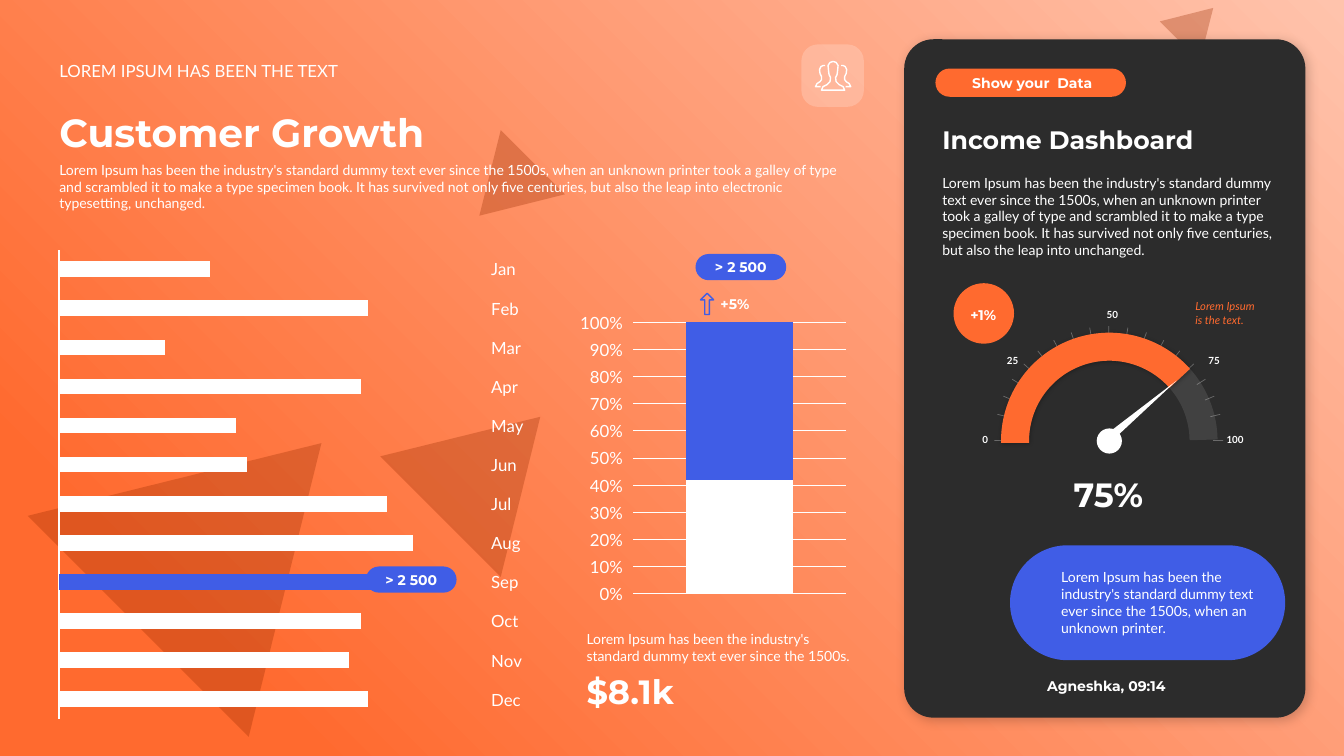
from math import cos, radians, sin

from lxml import etree
from pptx import Presentation
from pptx.chart.data import CategoryChartData
from pptx.dml.color import RGBColor
from pptx.enum.chart import XL_CHART_TYPE, XL_TICK_LABEL_POSITION, XL_TICK_MARK
from pptx.enum.shapes import MSO_CONNECTOR, MSO_SHAPE
from pptx.enum.text import MSO_ANCHOR, MSO_AUTO_SIZE, PP_ALIGN
from pptx.oxml import parse_xml
from pptx.oxml.ns import nsdecls, qn
from pptx.util import Inches, Pt

WHITE = RGBColor(0xFF, 0xFF, 0xFF)
DARK = RGBColor(0x2C, 0x2C, 0x2C)
ORANGE = RGBColor(0xFF, 0x6A, 0x2F)
PEACH = RGBColor(0xFF, 0xC3, 0xAC)
RUST = RGBColor(0x97, 0x2B, 0x00)
BLUE = RGBColor(0x40, 0x5D, 0xE6)
BLACK = RGBColor(0, 0, 0)
BODY, HEAD = "Lato", "Montserrat"
LEFT, MID, RIGHT = PP_ALIGN.LEFT, PP_ALIGN.CENTER, PP_ALIGN.RIGHT
TOP, CENTER, LOW = MSO_ANCHOR.TOP, MSO_ANCHOR.MIDDLE, MSO_ANCHOR.BOTTOM
ROUND, OVAL, ARC = MSO_SHAPE.ROUNDED_RECTANGLE, MSO_SHAPE.OVAL, MSO_SHAPE.ARC
WEDGE, ARROW = MSO_SHAPE.ISOSCELES_TRIANGLE, MSO_SHAPE.UP_ARROW
BARS, STACK = XL_CHART_TYPE.BAR_CLUSTERED, XL_CHART_TYPE.COLUMN_STACKED_100
CELL = Inches(0.1)
COLS, ROWS = 133.33, 75


def span(*cells):
    return [round(cell * CELL) for cell in cells]


def fade(part, alpha):
    for color in part.iter(qn("a:srgbClr")):
        etree.SubElement(color, qn("a:alpha")).set("val", str(alpha * 1000))


class Board:
    def __init__(self, deck):
        self.slide = deck.slides.add_slide(deck.slide_layouts[5])
        self.shapes = self.slide.shapes

    def backdrop(self):
        fill = self.slide.background.fill
        fill.solid()
        solid = self.slide.element.find(".//" + qn("a:solidFill"))
        solid.getparent().replace(solid, parse_xml(
            f'<a:gradFill {nsdecls("a")} rotWithShape="1"><a:gsLst>'
            f'<a:gs pos="0"><a:srgbClr val="{PEACH}"/></a:gs>'
            f'<a:gs pos="85000"><a:srgbClr val="{ORANGE}"/></a:gs></a:gsLst>'
            '<a:path path="circle"><a:fillToRect l="100000" b="100000"/></a:path>'
            '</a:gradFill>'))

    def label(self, shape, text, size, face=BODY, bold=False, color=WHITE,
              align=LEFT, anchor=TOP, wrap=True, grow=True, pad=None, after=0,
              italic=False):
        frame = shape.text_frame
        frame.text = text
        frame.word_wrap = wrap
        frame.vertical_anchor = anchor
        frame.auto_size = MSO_AUTO_SIZE.SHAPE_TO_FIT_TEXT if grow else MSO_AUTO_SIZE.NONE
        if pad is not None:
            frame.margin_left = frame.margin_right = 0
            frame.margin_top = frame.margin_bottom = Inches(pad)
        para = frame.paragraphs[0]
        para.alignment = align
        para.space_after = Pt(after)
        font = para.font
        font.name, font.size, font.bold, font.italic = face, Pt(size), bold, italic
        font.color.rgb = color

    def title(self, box, text, **style):
        shape = self.shapes.title
        shape.left, shape.top, shape.width, shape.height = span(*box)
        self.label(shape, text, **style)

    def text(self, box, text, size, **style):
        self.label(self.shapes.add_textbox(*span(*box)), text, size, **style)

    def paint(self, shape, fill=None, line=None, width=1, alpha=100):
        shape.shadow.inherit = False
        if fill is None:
            shape.fill.background()
        else:
            shape.fill.solid()
            shape.fill.fore_color.rgb = fill
        if line is None:
            shape.line.fill.background()
        else:
            shape.line.color.rgb = line
            shape.line.width = Pt(width)
        if alpha < 100:
            fade(shape.element.spPr, alpha)

    def form(self, kind, box, adjust=(), turn=0, **look):
        shape = self.shapes.add_shape(kind, *span(*box))
        for index, value in enumerate(adjust):
            shape.adjustments[index] = value
        shape.rotation = turn
        self.paint(shape, **look)
        return shape

    def shade(self, shape, alpha, blur, dist):
        effects = shape.element.spPr.find(qn("a:effectLst"))
        effects.append(parse_xml(
            f'<a:outerShdw {nsdecls("a")} blurRad="{Pt(blur)}" dist="{Pt(dist)}" '
            f'dir="2700000" algn="tl" rotWithShape="0"><a:srgbClr val="{BLACK}">'
            f'<a:alpha val="{alpha * 1000}"/></a:srgbClr></a:outerShdw>'))

    def pill(self, box, text):
        self.label(self.form(ROUND, box, [0.5], fill=BLUE), text, 10, face=HEAD,
                   bold=True, align=MID, anchor=CENTER, grow=False, pad=0)

    def trace(self, points, close):
        cells = [span(*point) for point in points]
        pen = self.shapes.build_freeform(*cells[0])
        pen.add_line_segments(cells[1:], close=close)
        self.paint(pen.convert_to_shape(), line=WHITE)

    def tick(self, start, end):
        line = self.shapes.add_connector(MSO_CONNECTOR.STRAIGHT, *span(*start, *end))
        line.line.color.rgb = WHITE
        line.line.width = Pt(0.5)
        fade(line.element.spPr, 30)
        etree.SubElement(line.element.spPr, qn("a:effectLst"))

    def chart(self, kind, box, names, series, size, gap, overlap, area):
        data = CategoryChartData()
        data.categories = names
        for index, (values, color) in enumerate(series, 1):
            data.add_series(f"Series {index}", values)
        chart = self.shapes.add_chart(kind, *span(*box), data).chart
        chart.has_legend = chart.has_title = False
        chart.font.name, chart.font.size = BODY, Pt(size)
        chart.font.color.rgb = WHITE
        plot = chart.plots[0]
        plot.gap_width, plot.overlap = gap, overlap
        plot.vary_by_categories = False
        for item, (values, color) in zip(plot.series, series):
            item.format.fill.solid()
            item.format.fill.fore_color.rgb = color
        zone = chart.element.find(".//" + qn("c:plotArea"))
        for old in zone.findall(qn("c:layout")):
            zone.remove(old)
        sides = "".join(f'<c:{key} val="{share}"/>' for key, share in zip("xywh", area))
        zone.insert(0, parse_xml(
            f'<c:layout {nsdecls("c")}><c:manualLayout><c:layoutTarget val="inner"/>'
            f'<c:xMode val="edge"/><c:yMode val="edge"/>{sides}'
            '</c:manualLayout></c:layout>'))
        return chart

    def months(self):
        names = "Jan Feb Mar Apr May Jun Jul Aug Sep Oct Nov Dec".split()
        values = [40, 82, 28, 80, 47, 50, 87, 94, 100, 80, 77, 82]
        chart = self.chart(BARS, (4.9, 23.8, 47.6, 48.5), names, [(values, WHITE)],
                           12, 150, -25, (0.02, 0.02, 0.88, 0.96))
        peak = chart.plots[0].series[0].points[8].format.fill
        peak.solid()
        peak.fore_color.rgb = BLUE
        axis = chart.category_axis
        axis.reverse_order = True
        axis.major_tick_mark = XL_TICK_MARK.NONE
        axis.tick_label_position = XL_TICK_LABEL_POSITION.HIGH
        axis.format.line.color.rgb = WHITE
        axis.format.line.width = Pt(0.75)
        scale = chart.value_axis
        scale.minimum_scale, scale.maximum_scale = 0, 112
        scale.has_major_gridlines = scale.visible = False

    def share(self):
        chart = self.chart(STACK, (57, 30.5, 27.5, 29.9), ["1"],
                           [([42], ORANGE), ([58], BLUE)], 10, 100, 100,
                           (0.21, 0.05, 0.77, 0.9))
        base = chart.plots[0].series[0].points[0].format.fill
        base.solid()
        base.fore_color.rgb = WHITE
        chart.category_axis.visible = False
        scale = chart.value_axis
        scale.tick_labels.font.size = Pt(12)
        scale.tick_labels.number_format = "0%"
        scale.tick_labels.number_format_is_linked = False
        scale.format.line.fill.background()
        grid = scale.major_gridlines.format.line
        grid.color.rgb = WHITE
        grid.width = Pt(0.75)

    def people(self):
        self.form(ROUND, (79.5, 4.4, 6.2, 6.2), [0.265], fill=WHITE, alpha=20)
        axis = 82.65
        body = [(0, 6.1), (0.3, 6.2), (0.5, 6.5), (0.45, 7), (0.4, 7.4), (0.25, 7.7),
                (0.3, 8.1), (0.6, 8.4), (1, 8.6), (1.15, 8.95)]
        side = [(0.8, 6.5), (1, 6.5), (1.2, 6.6), (1.35, 6.9), (1.3, 7.3), (1.15, 7.6),
                (1.15, 7.9), (1.3, 8.1), (1.6, 8.3), (1.75, 8.6), (1.25, 8.6)]
        half = [(axis + x, y) for x, y in body]
        self.trace(half + [(axis - x, y) for x, y in reversed(body)], True)
        for sign in (-1, 1):
            self.trace([(axis + sign * x, y) for x, y in side], False)

    def gauge(self):
        ring = (100.7, 34.4, 18.7, 18.7)
        self.form(ARC, ring, [108.1, 215.58], line=WHITE, width=20, alpha=10)
        self.form(OVAL, (108.8, 42.5, 2.5, 2.5), fill=WHITE)
        for angle in [-90, *(9.6 * step for step in range(-8, 9)), 90]:
            turn = radians(angle)
            start, end = [(110 + reach * sin(turn), 43.7 - reach * cos(turn))
                          for reach in (11.35, 10.35)]
            self.tick(start, end)
        for text, box, align, anchor, wrap in [
                ("0", (95.6, 42.2, 3.4, 2.8), RIGHT, CENTER, False),
                ("25", (97.9, 34.4, 4.1, 2.8), RIGHT, CENTER, False),
                ("50", (107.8, 29.5, 4.1, 2.8), RIGHT, LOW, False),
                ("75", (118.9, 34.4, 4.1, 2.8), LEFT, CENTER, False),
                ("100", (120.7, 42.2, 5.9, 2.8), LEFT, CENTER, True)]:
            self.text(box, text, 7, bold=True, align=align, anchor=anchor, wrap=wrap)
        self.shade(self.form(ARC, ring, [107.34, 191.03], line=ORANGE, width=20), 30, 3, 1)
        self.form(WEDGE, (113.2, 36.3, 0.8, 8.2), turn=49.8, fill=WHITE)


def main():
    deck = Presentation()
    deck.slide_width, deck.slide_height = span(COLS, ROWS)
    board = Board(deck)
    lorem = "Lorem Ipsum has been the industry's standard dummy text ever since the 1500s"
    story = (lorem + ", when an unknown printer took a galley of type and scrambled it to make "
             "a type specimen book. It has survived not only five centuries, but also the leap into ")
    strong = {"face": HEAD, "bold": True}
    board.backdrop()
    for box, turn in [((7.3, 40.2, 31, 25.7), 45), ((40.2, 39.3, 16.9, 14), 45),
                      ((45.7, 15, 9, 7.5), 225), ((115.9, 0.1, 5.6, 4.7), 45)]:
        board.form(WEDGE, box, turn=turn, fill=RUST, alpha=30)
    board.shade(board.form(ROUND, (89.7, 3.9, 39.8, 67.3), [0.073], fill=DARK), 20, 8, 3)
    board.text((4.9, 15.5, 80.8, 6.1), story + "electronic typesetting, unchanged.", 10, after=6)
    board.title((4.9, 10.2, 80.8, 5.7), "Customer Growth", size=28, anchor=LOW, **strong)
    board.text((4.9, 5.5, 80.8, 3), "LOREM IPSUM HAS BEEN THE TEXT", 12, anchor=LOW)
    board.people()
    board.months()
    board.pill((69, 25.2, 9, 2.6), "> 2 500")
    board.text((57.2, 66.1, 29.1, 5), "$8.1k", 24, anchor=LOW, **strong)
    board.text((57.2, 62, 29.1, 4.4), lorem + ".", 10, anchor=LOW)
    board.text((70.8, 28.8, 4.2, 2.7), "+5%", 10, align=MID, pad=0.05, **strong)
    board.form(ARROW, (69.5, 29.1, 1.3, 2.1), [0.36, 0.5], line=BLUE)
    board.share()
    board.pill((36.3, 56.2, 9, 2.6), "> 2 500")
    board.text((92.5, 16.8, 35, 9.4), story + "unchanged.", 10, after=6)
    board.text((92.5, 11.8, 35, 4), "Income Dashboard", 18, anchor=LOW, **strong)
    board.form(ROUND, (92.8, 6.8, 18.9, 2.8), [0.5], fill=ORANGE)
    board.text((93.7, 6.9, 17.4, 2.7), "Show your  Data", 10, align=MID, anchor=CENTER, **strong)
    board.gauge()
    board.form(OVAL, (94.6, 28.1, 6, 6), fill=ORANGE)
    board.text((95.1, 29.9, 4.9, 2.7), "+1%", 10, align=MID, anchor=CENTER, pad=0.05, **strong)
    board.text((117.6, 29.2, 8.7, 3.7), "Lorem Ipsum is the text.", 8, color=ORANGE,
               anchor=CENTER, italic=True)
    board.text((98, 46.5, 23.9, 5), "75%", 24, align=MID, anchor=LOW, **strong)
    board.form(ROUND, (100.2, 54.1, 27.3, 11.4), [0.5], fill=BLUE)
    board.text((104.3, 55.9, 21.3, 7.7), lorem + ", when an unknown printer.", 10, anchor=CENTER)
    board.text((102.9, 66.7, 22.8, 2.7), "Agneshka, 09:14", 10, anchor=LOW, **strong)
    deck.save("out.pptx")


if __name__ == "__main__":
    main()
